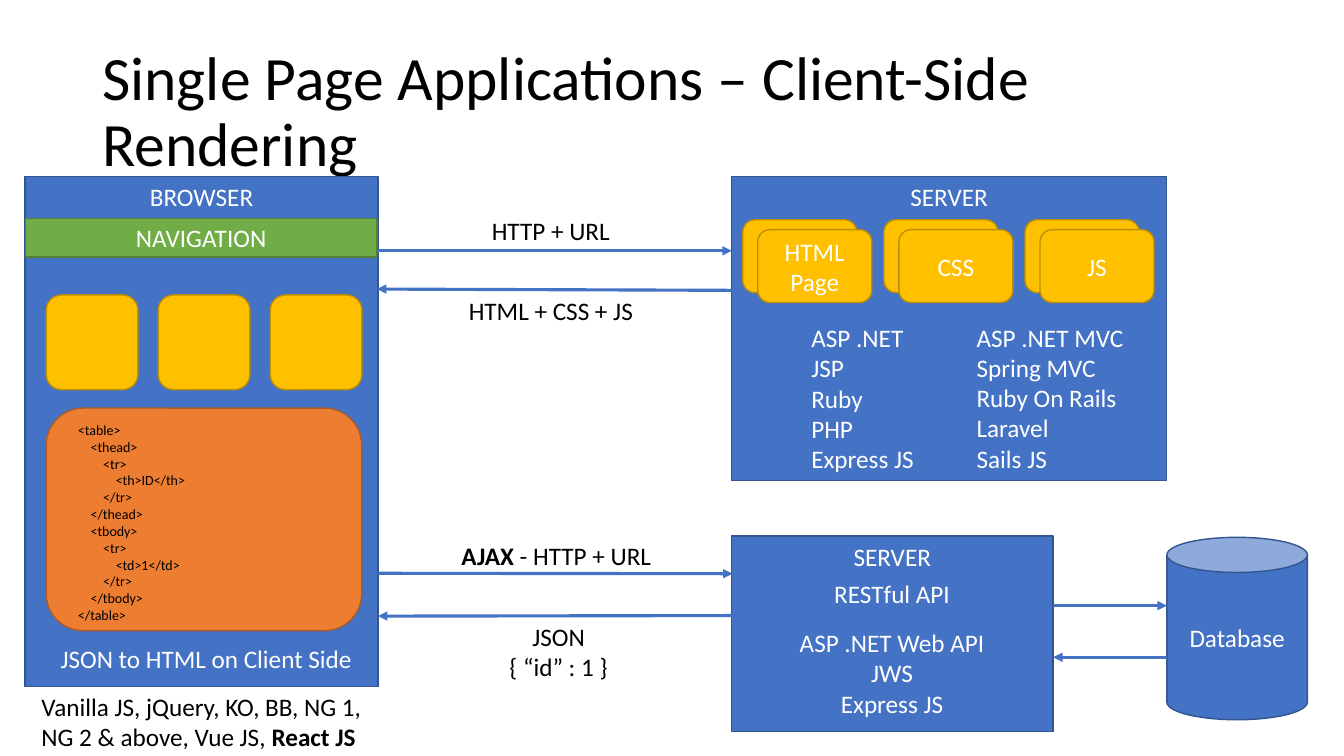
"""Build the slide on single page applications with client-side rendering."""
from lxml.etree import SubElement
from pptx import Presentation
from pptx.dml.color import RGBColor
from pptx.enum.shapes import MSO_CONNECTOR, MSO_SHAPE
from pptx.enum.text import MSO_ANCHOR, PP_ALIGN
from pptx.oxml.ns import qn
from pptx.util import Pt

COLORS = {
    "black": "000000", "white": "FFFFFF",
    "blue": "4472C4", "blue line": "325491",
    "gold": "FFC000", "gold line": "BD8E00",
    "green": "70AD47", "green line": "538035",
    "orange": "ED7D31", "orange line": "AF5C24",
}


def write(shape, lines, color, size=18, align=PP_ALIGN.LEFT, bold=None, wrap=True):
    frame = shape.text_frame
    frame.word_wrap = wrap
    for number, line in enumerate(lines):
        paragraph = frame.add_paragraph() if number else frame.paragraphs[0]
        paragraph.alignment = align
        paragraph.font.name = "Calibri"
        paragraph.font.size = Pt(size)
        paragraph.font.color.rgb = RGBColor.from_string(COLORS[color])
        for text in line.partition(bold) if bold else [line]:
            if text:
                run = paragraph.add_run()
                run.text = text
                if text == bold:
                    run.font.bold = True
    return frame


def add_block(kind, box, color, text="", anchor=MSO_ANCHOR.MIDDLE):
    shape = slide.shapes.add_shape(kind, *map(Pt, box))
    shape.shadow.inherit = False
    shape.fill.solid()
    shape.fill.fore_color.rgb = RGBColor.from_string(COLORS[color])
    shape.line.color.rgb = RGBColor.from_string(COLORS[color + " line"])
    shape.line.width = Pt(1)
    shape.text_frame.vertical_anchor = anchor
    if text:
        write(shape, [text], "white", align=PP_ALIGN.CENTER)


presentation = Presentation()
presentation.slide_width = Pt(960)
presentation.slide_height = Pt(540)
slide = presentation.slides.add_slide(presentation.slide_layouts[6])

title = slide.shapes.add_textbox(Pt(66), Pt(28.75), Pt(828), Pt(104.4))
title_frame = write(title, ["Single Page Applications – Client-Side Rendering"], "black", 44)
title_frame.vertical_anchor = MSO_ANCHOR.MIDDLE
title_frame.paragraphs[0].line_spacing = 0.9

panels = [
    ((522.7, 126, 310.5, 217.4), "SERVER"),
    ((18, 126, 252, 364.3), "BROWSER"),
    ((522.5, 383, 229.7, 139.7), "SERVER"),
]
for box, name in panels:
    add_block(MSO_SHAPE.RECTANGLE, box, "blue", name, MSO_ANCHOR.TOP)
add_block(MSO_SHAPE.RECTANGLE, (18, 156.2, 251.3, 27.4), "green", "NAVIGATION")
add_block(MSO_SHAPE.CAN, (833.5, 383.8, 100.4, 130.3), "blue", "Database")

for column, name in enumerate(["HTML Page", "CSS", "JS"]):
    left = 530.6 + 100.8 * column
    add_block(MSO_SHAPE.ROUNDED_RECTANGLE, (left, 157, 81.4, 52), "gold")
    add_block(MSO_SHAPE.ROUNDED_RECTANGLE, (left + 10.7, 164.1, 81.4, 52), "gold", name)

for column in range(3):
    box = (33 + 80 * column, 210.7, 65.5, 67.7)
    add_block(MSO_SHAPE.ROUNDED_RECTANGLE, box, "gold")
add_block(MSO_SHAPE.ROUNDED_RECTANGLE, (33, 291.5, 225.4, 159), "orange")

arrows = [
    ((270, 179.2), (522.7, 179.2)),
    ((522.7, 207.4), (269.3, 206.5)),
    ((270, 409.5), (523.3, 409.8)),
    ((523.3, 439.7), (270, 440.1)),
    ((752.3, 432.6), (833.5, 432.6)),
    ((833.5, 469.5), (752.3, 469.5)),
]
for start, end in arrows:
    arrow = slide.shapes.add_connector(MSO_CONNECTOR.STRAIGHT, *map(Pt, start + end))
    arrow.line.color.rgb = RGBColor.from_string(COLORS["blue"])
    arrow.line.width = Pt(2.25)
    SubElement(arrow.line._get_or_add_ln(), qn("a:tailEnd"), type="triangle")
    SubElement(arrow._element.spPr, qn("a:effectLst"))

labels = [
    ((343.4, 150.5, 100.1, 29), ["HTTP + URL"], "black", None),
    ((326.9, 207.6, 133.2, 29), ["HTML + CSS + JS"], "black", None),
    ((321.8, 382.3, 151.2, 29), ["AJAX - HTTP + URL"], "black", "AJAX"),
    ((353.5, 440, 91, 51), ["JSON", "{ “id” : 1 }"], "black", None),
    ((34.6, 455.8, 225.4, 29), ["JSON to HTML on Client Side"], "white", None),
]
for box, lines, color, bold in labels:
    label = slide.shapes.add_textbox(*map(Pt, box))
    write(label, lines, color, align=PP_ALIGN.CENTER, bold=bold, wrap=False)

frameworks = [
    ((572.4, 226.8, 95, 116.6), ["ASP .NET", "JSP", "Ruby", "PHP", "Express JS"]),
    ((690.5, 226.5, 124.6, 116.6),
     ["ASP .NET MVC", "Spring MVC", "Ruby On Rails", "Laravel", "Sails JS"]),
]
for box, lines in frameworks:
    write(slide.shapes.add_textbox(*map(Pt, box)), lines, "white")

api = slide.shapes.add_textbox(Pt(522), Pt(409.7), Pt(230.4), Pt(111.6))
api_lines = ["RESTful API", "ASP .NET Web API", "JWS", "Express JS"]
api_frame = write(api, api_lines, "white", align=PP_ALIGN.CENTER)
api_frame.paragraphs[1].space_before = Pt(13.4)

code = slide.shapes.add_textbox(Pt(48.6), Pt(297.5), Pt(113.8), Pt(152.6))
code_lines = [
    "<table>",
    "    <thead>",
    "        <tr>",
    "            <th>ID</th>",
    "        </tr>",
    "    </thead>",
    "    <tbody>",
    "        <tr>",
    "            <td>1</td>",
    "        </tr>",
    "    </tbody>",
    "</table>",
]
write(code, code_lines, "black", 10)

libraries = slide.shapes.add_textbox(Pt(22.5), Pt(490.3), Pt(250), Pt(51))
library_lines = ["Vanilla JS, jQuery, KO, BB, NG 1,", "NG 2 & above, Vue JS, React JS"]
write(libraries, library_lines, "black", bold="React JS")

presentation.save("out.pptx")
